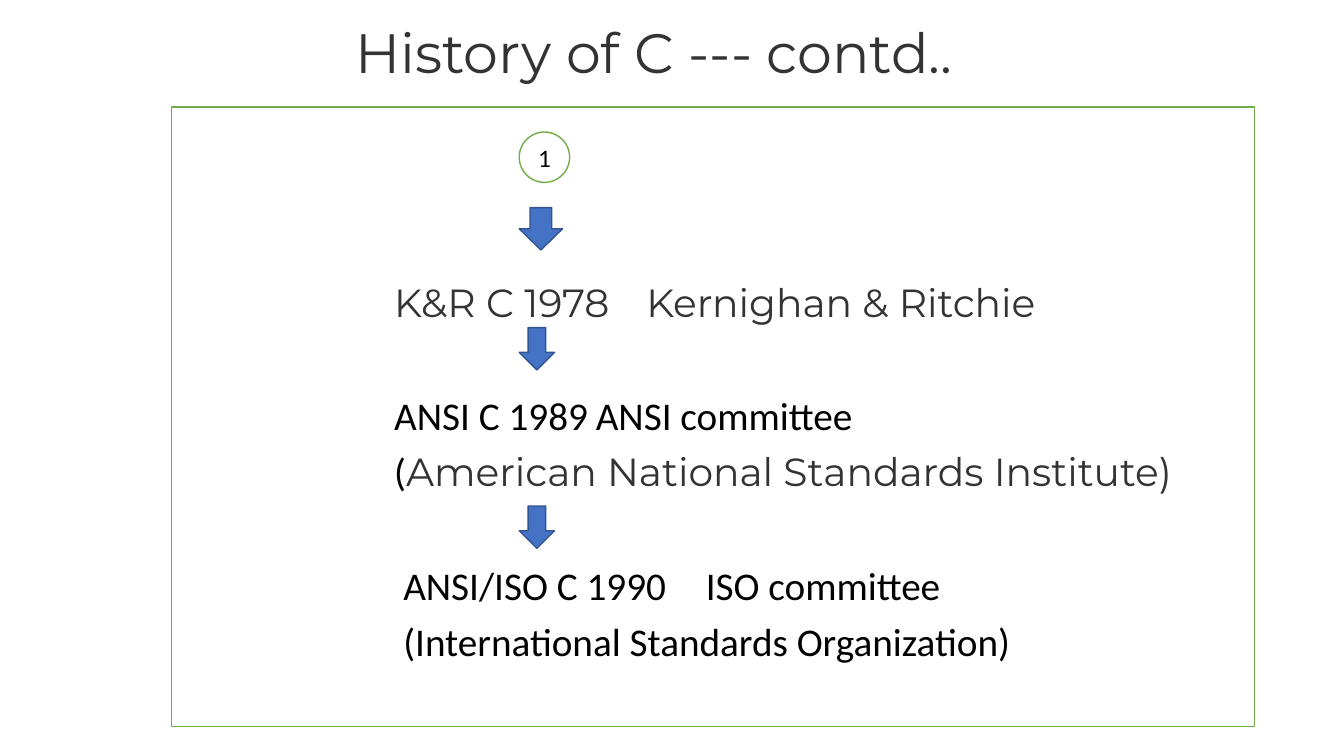
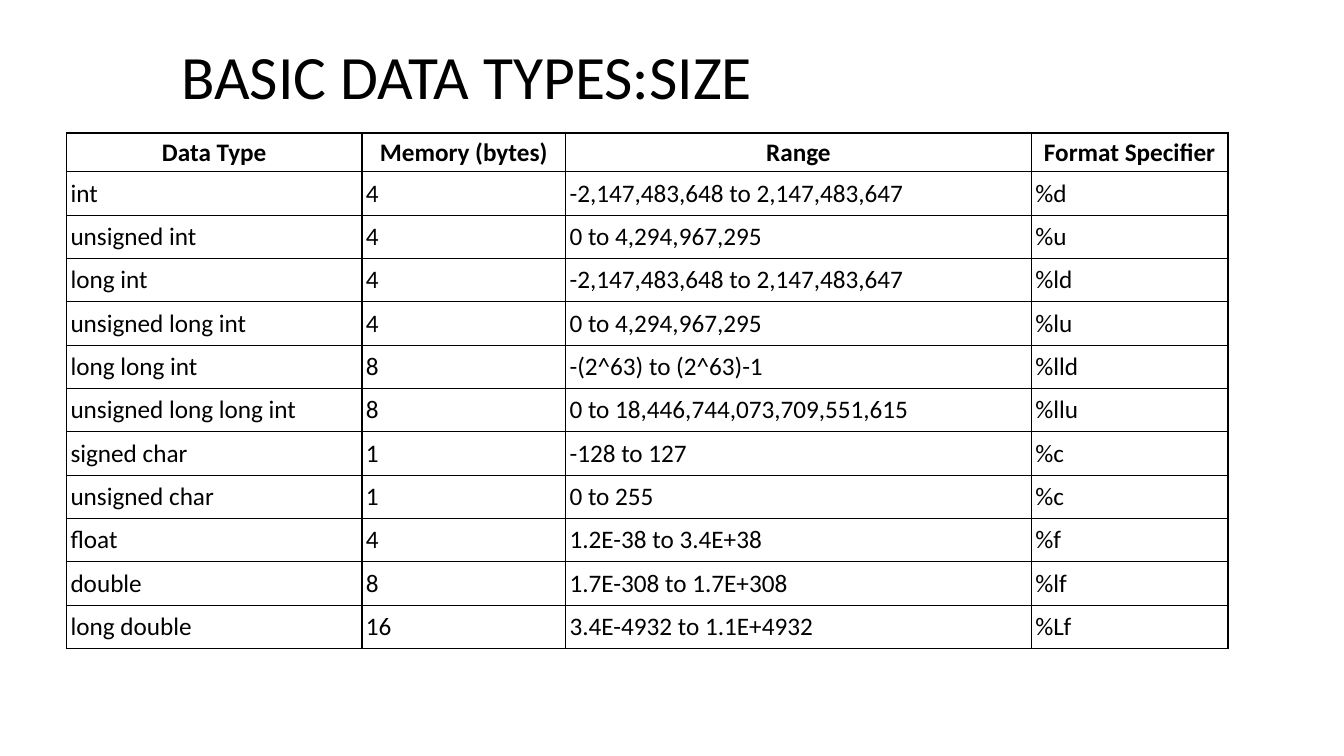
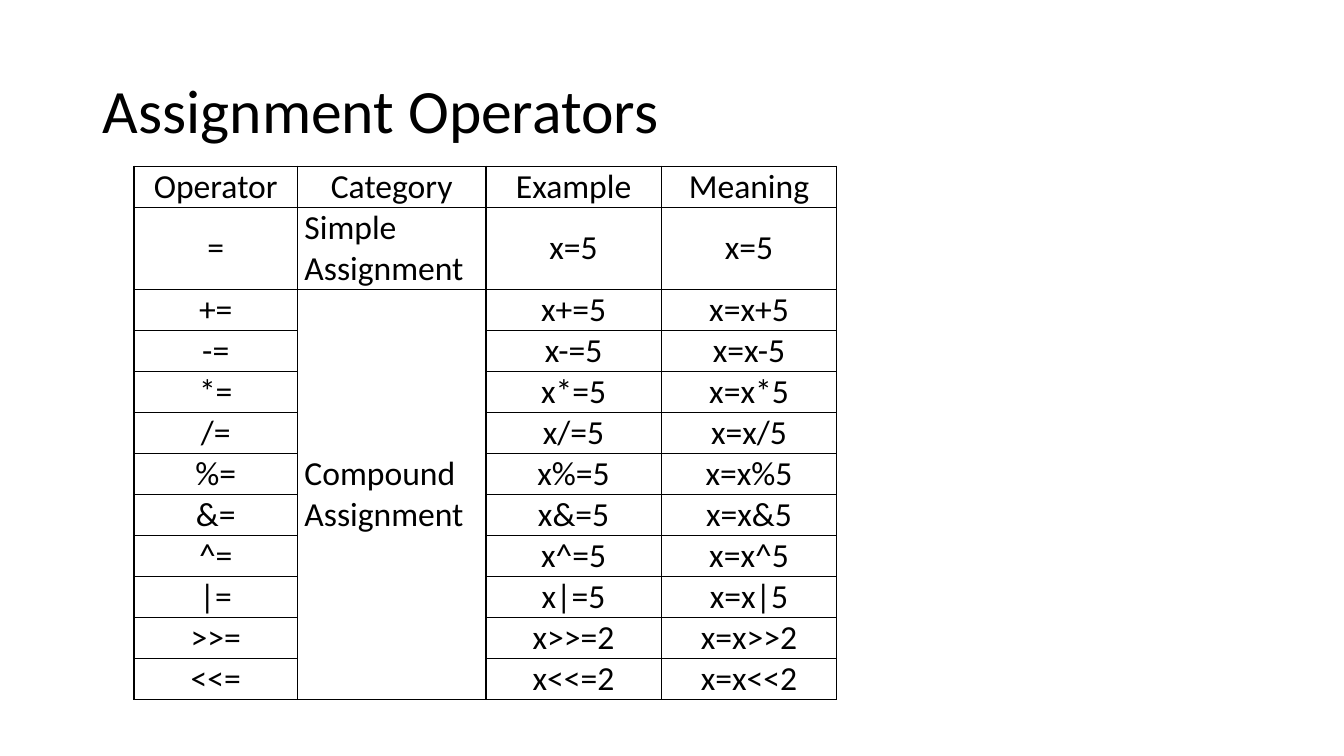
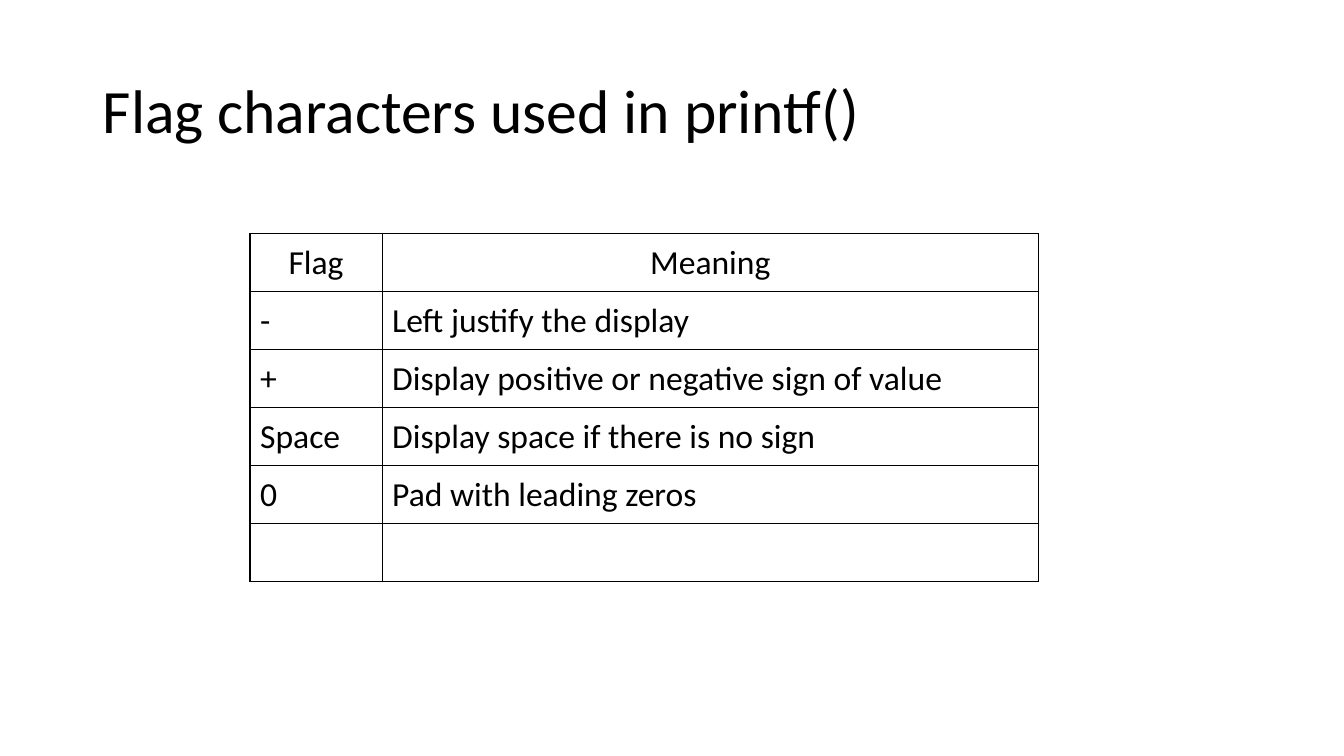
from dataclasses import dataclass

from lxml import etree
from pptx import Presentation
from pptx.dml.color import RGBColor
from pptx.enum.shapes import MSO_SHAPE
from pptx.enum.text import MSO_ANCHOR, MSO_AUTO_SIZE, PP_ALIGN
from pptx.oxml.ns import qn
from pptx.util import Inches, Pt

LEFT, CENTER = PP_ALIGN.LEFT, PP_ALIGN.CENTER
MIDDLE, TOP = MSO_ANCHOR.MIDDLE, MSO_ANCHOR.TOP
NO_AUTOFIT = MSO_AUTO_SIZE.NONE
DOWN_ARROW, CONNECTOR_CIRCLE = MSO_SHAPE.DOWN_ARROW, MSO_SHAPE.FLOWCHART_CONNECTOR

COLORS = {
    "white": "FFFFFF",
    "black": "000000",
    "gray": "333333",
    "green": "70AD47",
    "blue": "4472C4",
    "navy": "325491",
}
BODY_FONT, ACCENT_FONT = "Calibri", "Montserrat"
CONTENT_LAYOUT, TITLE_LAYOUT = 1, 5


@dataclass(frozen=True)
class Area:
    left: float
    top: float
    width: float
    height: float

    def lengths(self) -> tuple:
        return tuple(Inches(v) for v in (self.left, self.top, self.width, self.height))


@dataclass(frozen=True)
class TextStyle:
    size: float
    name: str = BODY_FONT
    color: str = "black"
    bold: bool = False


@dataclass(frozen=True)
class Span:
    text: str
    style: TextStyle


@dataclass(frozen=True)
class HistoryLine:
    spans: tuple
    space_before: float
    indent: float = 0
    tab: float = 0


@dataclass(frozen=True)
class TableSpec:
    left: float
    top: float
    columns: tuple
    row_heights: tuple
    rows: tuple
    alignments: tuple
    size: float
    header_bold: bool = False
    fill: str = ""
    inset_x: float = 0.1
    inset_y: float = 0.05
    header_inset_y: float = 0.05


TITLE_STYLE = TextStyle(44)
HISTORY_TITLE_STYLE = TextStyle(39.6, ACCENT_FONT, "gray")
HISTORY_STYLE = TextStyle(28)
HISTORY_ACCENT = TextStyle(28, ACCENT_FONT, "gray")
TITLE_AREA = Area(0.92, 0.4, 11.5, 1.45)

# History text: a skipped line widens the space before a paragraph
LINE_GAP, SKIP_GAP = 10, 50.7
HISTORY_LINES = (
    HistoryLine((Span("K&R C 1978\tKernighan & Ritchie", HISTORY_ACCENT),), 0, tab=2.44),
    HistoryLine((Span("ANSI C 1989\tANSI committee", HISTORY_STYLE),), SKIP_GAP, tab=2.18),
    HistoryLine((Span("(", HISTORY_STYLE),
                 Span("American National Standards Institute)", HISTORY_ACCENT)), LINE_GAP),
    HistoryLine((Span("ANSI/ISO C 1990\tISO committee", HISTORY_STYLE),),
                SKIP_GAP, indent=0.09, tab=2.92),
    HistoryLine((Span("(International Standards Organization)", HISTORY_STYLE),),
                LINE_GAP, indent=0.09),
)
HISTORY_ARROWS = (
    Area(5.15, 2.06, 0.43, 0.42),
    Area(5.15, 3.25, 0.35, 0.42),
    Area(5.15, 5.02, 0.35, 0.42),
)

DATA_TYPES = TableSpec(
    left=0.66, top=1.32, columns=(2.93, 2.02, 4.62, 1.95),
    row_heights=(0.38,) + (0.43,) * 11,
    rows=(
        ("Data Type", "Memory (bytes)", "Range", "Format Specifier"),
        ("int", "4", "-2,147,483,648 to 2,147,483,647", "%d"),
        ("unsigned int", "4", "0 to 4,294,967,295", "%u"),
        ("long int", "4", "-2,147,483,648 to 2,147,483,647", "%ld"),
        ("unsigned long int", "4", "0 to 4,294,967,295", "%lu"),
        ("long long int", "8", "-(2^63) to (2^63)-1", "%lld"),
        ("unsigned long long int", "8", "0 to 18,446,744,073,709,551,615", "%llu"),
        ("signed char", "1", "-128 to 127", "%c"),
        ("unsigned char", "1", "0 to 255", "%c"),
        ("float", "4", "1.2E-38 to 3.4E+38", "%f"),
        ("double", "8", "1.7E-308 to 1.7E+308", "%lf"),
        ("long double", "16", "3.4E-4932 to 1.1E+4932", "%Lf"),
    ),
    alignments=(LEFT,) * 4, size=18, header_bold=True, fill="white",
    inset_x=0.04, inset_y=0.06, header_inset_y=0.04,
)

COMPOUND_OPERATORS = (
    ("+", 5), ("-", 5), ("*", 5), ("/", 5), ("%", 5),
    ("&", 5), ("^", 5), ("|", 5), (">>", 2), ("<<", 2),
)
ASSIGNMENTS = TableSpec(
    left=1.33, top=1.65, columns=(1.62, 1.87, 1.74, 1.74),
    row_heights=(0.4, 0.8) + (0.4,) * len(COMPOUND_OPERATORS),
    rows=(
        ("Operator", "Category", "Example", "Meaning"),
        ("=", "Simple Assignment", "x=5", "x=5"),
    ) + tuple(
        (f"{sign}=", "" if index else "Compound Assignment",
         f"x{sign}={value}", f"x=x{sign}{value}")
        for index, (sign, value) in enumerate(COMPOUND_OPERATORS)
    ),
    alignments=(CENTER, LEFT, CENTER, CENTER), size=24,
    inset_x=0.07, inset_y=0, header_inset_y=0,
)

FLAGS = TableSpec(
    left=2.48, top=2.32, columns=(1.31, 6.51), row_heights=(0.575,) * 6,
    rows=(
        ("Flag", "Meaning"),
        ("-", "Left justify the display"),
        ("+", "Display positive or negative sign of value"),
        ("Space", "Display space if there is no sign"),
        ("0", "Pad with leading zeros"),
        ("", ""),
    ),
    alignments=(LEFT, LEFT), size=24,
)


def rgb(color: str) -> RGBColor:
    return RGBColor.from_string(COLORS[color])


def set_font(font, style: TextStyle) -> None:
    font.size = Pt(style.size)
    font.name = style.name
    font.bold = style.bold
    font.color.rgb = rgb(style.color)


def set_place(shape, area: Area) -> None:
    shape.left, shape.top, shape.width, shape.height = area.lengths()


def set_paint(shape, fill: str, line: str) -> None:
    shape.fill.solid()
    shape.fill.fore_color.rgb = rgb(fill)
    shape.line.color.rgb = rgb(line)
    shape.line.width = Pt(1)


def add_page(deck, layout: int, title: str, area: Area = TITLE_AREA,
             style: TextStyle = TITLE_STYLE, alignment=LEFT):
    """Add a slide with its title placed and formatted."""
    page = deck.slides.add_slide(deck.slide_layouts[layout])
    box = page.shapes.title
    set_place(box, area)
    frame = box.text_frame
    frame.text = title
    frame.auto_size = NO_AUTOFIT
    frame.vertical_anchor = MIDDLE
    para = frame.paragraphs[0]
    para.alignment = alignment
    para.line_spacing = 0.9
    set_font(para.font, style)
    return page


def add_shape(page, kind, area: Area, fill: str, line: str):
    shape = page.shapes.add_shape(kind, *area.lengths())
    shape.shadow.inherit = False
    set_paint(shape, fill, line)
    return shape


def write_history_line(para, line: HistoryLine) -> None:
    para.alignment = LEFT
    para.line_spacing = 0.9
    para.space_before = Pt(line.space_before)
    properties = para._p.get_or_add_pPr()
    properties.set("marL", str(Inches(line.indent)))
    properties.set("indent", "0")
    etree.SubElement(properties, qn("a:buNone"))
    if line.tab:
        tabs = etree.SubElement(properties, qn("a:tabLst"))
        etree.SubElement(tabs, qn("a:tab"), pos=str(Inches(line.tab)), algn="l")
    for span in line.spans:
        run = para.add_run()
        run.text = span.text
        if len(line.spans) > 1:
            set_font(run.font, span.style)
    if len(line.spans) == 1:
        set_font(para.font, line.spans[0].style)


def set_borders(cell) -> None:
    properties = cell._tc.get_or_add_tcPr()
    for side in ("lnL", "lnR", "lnT", "lnB"):
        border = etree.SubElement(properties, qn(f"a:{side}"), w=str(Pt(1)))
        fill = etree.SubElement(border, qn("a:solidFill"))
        etree.SubElement(fill, qn("a:srgbClr"), val=COLORS["black"])


def write_cell(cell, text: str, spec: TableSpec, is_header: bool, alignment) -> None:
    set_borders(cell)
    if spec.fill:
        cell.fill.solid()
        cell.fill.fore_color.rgb = rgb(spec.fill)
    else:
        cell.fill.background()
    cell.margin_left = cell.margin_right = Inches(spec.inset_x)
    inset_y = spec.header_inset_y if is_header else spec.inset_y
    cell.margin_top = cell.margin_bottom = Inches(inset_y)
    cell.vertical_anchor = MIDDLE
    if text:
        cell.text = text
    para = cell.text_frame.paragraphs[0]
    para.alignment = CENTER if is_header else alignment
    set_font(para.font, TextStyle(spec.size, bold=is_header and spec.header_bold))


def add_table(page, spec: TableSpec):
    area = Area(spec.left, spec.top, sum(spec.columns), sum(spec.row_heights))
    table = page.shapes.add_table(
        len(spec.rows), len(spec.columns), *area.lengths()).table
    table.first_row = table.horz_banding = False
    for column, width in zip(table.columns, spec.columns):
        column.width = Inches(width)
    for index, (height, texts) in enumerate(zip(spec.row_heights, spec.rows)):
        table.rows[index].height = Inches(height)
        for position, (text, alignment) in enumerate(zip(texts, spec.alignments)):
            write_cell(table.cell(index, position), text, spec, index == 0, alignment)
    return table


def build_history(deck) -> None:
    page = add_page(deck, CONTENT_LAYOUT, "History of C --- contd..",
                    Area(1.7, 0.1, 9.57, 0.91), HISTORY_TITLE_STYLE, CENTER)
    # Framed text
    body = page.placeholders[1]
    set_place(body, Area(1.7, 1.06, 10.74, 6.15))
    set_paint(body, "white", "green")
    frame = body.text_frame
    frame.auto_size = NO_AUTOFIT
    frame.vertical_anchor = TOP
    frame.margin_left, frame.margin_top = Inches(2.21), Inches(1.75)
    for index, line in enumerate(HISTORY_LINES):
        para = frame.add_paragraph() if index else frame.paragraphs[0]
        write_history_line(para, line)
    # Arrows and numbered circle
    for area in HISTORY_ARROWS:
        add_shape(page, DOWN_ARROW, area, "blue", "navy")
    circle = add_shape(page, CONNECTOR_CIRCLE, Area(5.15, 1.31, 0.5, 0.5), "white", "green")
    frame = circle.text_frame
    frame.margin_left = frame.margin_right = frame.margin_top = frame.margin_bottom = 0
    frame.vertical_anchor = MIDDLE
    frame.text = "1"
    para = frame.paragraphs[0]
    para.alignment = CENTER
    set_font(para.font, TextStyle(18))


def build_data_types(deck) -> None:
    page = add_page(deck, TITLE_LAYOUT, "BASIC DATA TYPES:SIZE", Area(1.7, 0.4, 11.19, 0.78))
    add_table(page, DATA_TYPES)


def build_assignments(deck) -> None:
    page = add_page(deck, TITLE_LAYOUT, "Assignment Operators")
    table = add_table(page, ASSIGNMENTS)
    table.cell(2, 1).merge(table.cell(len(ASSIGNMENTS.rows) - 1, 1))


def build_flags(deck) -> None:
    page = add_page(deck, TITLE_LAYOUT, "Flag characters used in printf()")
    add_table(page, FLAGS)


def main() -> None:
    deck = Presentation()
    deck.slide_width, deck.slide_height = Inches(13.33), Inches(7.5)
    for build in (build_history, build_data_types, build_assignments, build_flags):
        build(deck)
    deck.save("out.pptx")


if __name__ == "__main__":
    main()
